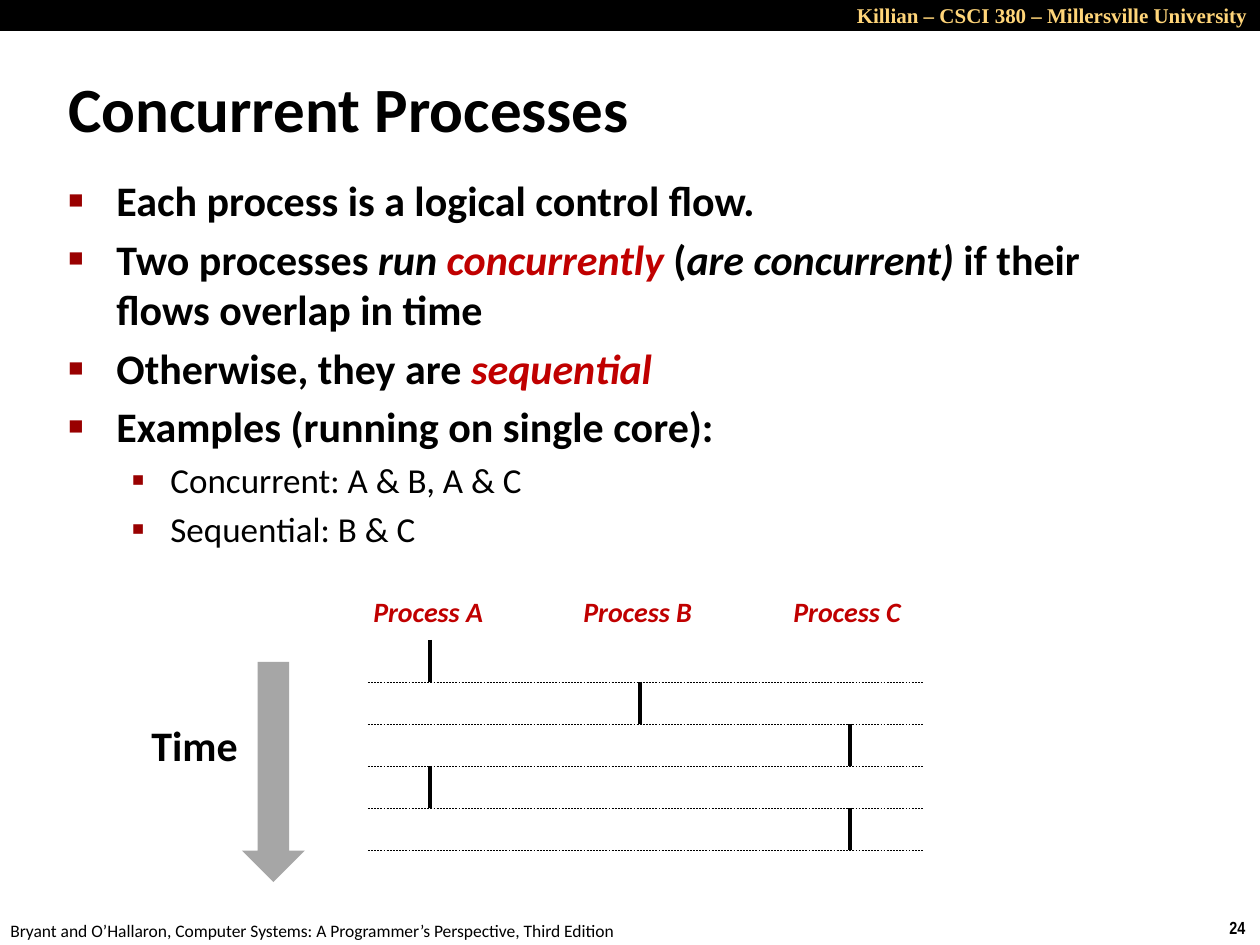
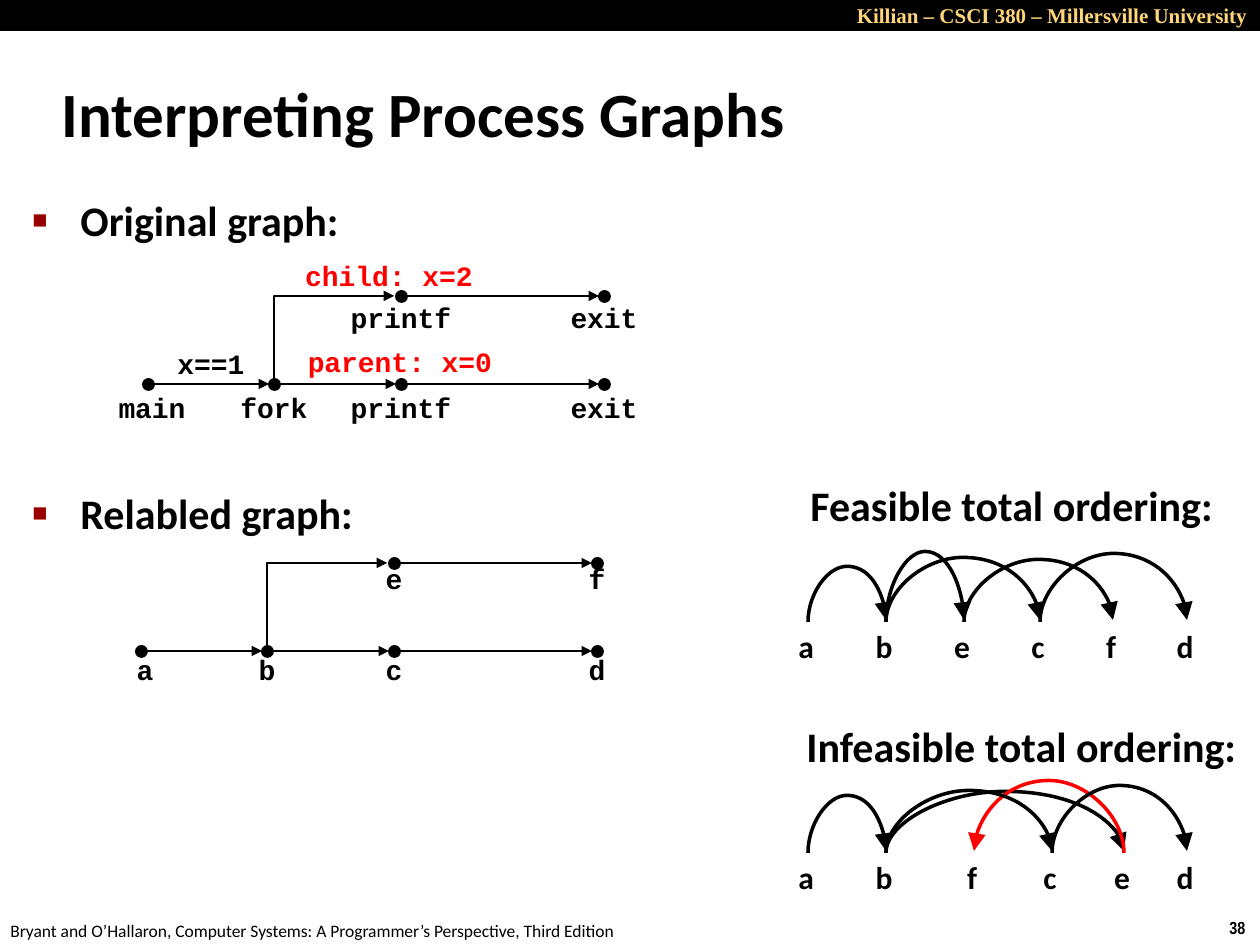
from dataclasses import dataclass
from typing import NamedTuple

from lxml.etree import SubElement
from pptx import Presentation
from pptx.dml.color import RGBColor
from pptx.enum.dml import MSO_LINE
from pptx.enum.shapes import MSO_CONNECTOR, MSO_SHAPE
from pptx.enum.text import MSO_ANCHOR, MSO_AUTO_SIZE, PP_ALIGN
from pptx.oxml.ns import qn
from pptx.util import Emu, Pt

BLACK = RGBColor(0x00, 0x00, 0x00)
GOLD = RGBColor(0xFF, 0xD5, 0x79)
BULLET_RED = RGBColor(0x99, 0x00, 0x00)
TERM_RED = RGBColor(0xC0, 0x00, 0x00)
BRIGHT_RED = RGBColor(0xFF, 0x00, 0x00)
ARROW_GRAY = RGBColor(0xA6, 0xA6, 0xA6)

BODY_FONT, CODE_FONT, BULLET_FONT = "Calibri", "Courier New", "Arial"
TITLE_ONLY = 5
SLIDE_WIDTH, SLIDE_HEIGHT = 1260, 945
DOT = 13
COURSE = "Killian – CSCI 380 – Millersville University"
BOOK = "Bryant and O’Hallaron, Computer Systems: A Programmer’s Perspective, Third Edition"


def px(length: float) -> Emu:
    return Emu(round(length * 914400 / 126))


class Box(NamedTuple):
    left: int
    top: int
    width: int
    height: int

    def emu(self) -> list[Emu]:
        return [px(length) for length in self]


class Point(NamedTuple):
    x: float
    y: float


class Run(NamedTuple):
    text: str
    italic: bool = False
    color: RGBColor = BLACK


class BulletLevel(NamedTuple):
    char: str
    percent: int
    margin: int
    hanging: int
    size: int
    bold: bool
    space: float


@dataclass(frozen=True)
class Bullet:
    runs: list[Run]
    level: int = 0
    space: float | None = None


@dataclass(frozen=True)
class ProcessGraph:
    """Fork diagram: parent row from start, child row above it."""
    start: Point
    parent: list[str]
    child: list[str]
    parent_drop: int
    child_drop: int


class Arc(NamedTuple):
    ends: str
    rise: int
    color: RGBColor = BLACK


@dataclass(frozen=True)
class Ordering:
    heading: str
    heading_box: Box
    baseline: int
    stations: dict[str, int]
    arcs: list[Arc]


LEVELS = [BulletLevel("■", 60, 48, 48, 24, True, 4.8),
          BulletLevel("▪", 110, 102, 39, 20, False, 4)]


def write(paragraph, text: str, *, size: int, font: str = BODY_FONT,
          color: RGBColor = BLACK, bold: bool = True, italic: bool = False) -> None:
    run = paragraph.add_run()
    run.text = text
    run.font.name, run.font.size = font, Pt(size)
    run.font.bold, run.font.italic = bold, italic
    run.font.color.rgb = color


def add_text(slide, box: Box, text: str, *, align=PP_ALIGN.LEFT, **text_format) -> None:
    frame = slide.shapes.add_textbox(*box.emu()).text_frame
    frame.word_wrap = False
    frame.paragraphs[0].alignment = align
    write(frame.paragraphs[0], text, **text_format)


def add_label(slide, center: int, top: int, text: str, *, width: int = 130, size: int = 16,
              font: str = CODE_FONT, color: RGBColor = BLACK) -> None:
    add_text(slide, Box(center - width // 2, top, width, 47), text,
             align=PP_ALIGN.CENTER, size=size, font=font, color=color)


def add_filled(slide, preset, box: Box, color: RGBColor) -> None:
    shape = slide.shapes.add_shape(preset, *box.emu())
    shape.shadow.inherit = False
    shape.fill.solid()
    shape.fill.fore_color.rgb = color
    shape.line.fill.background()


def add_line(slide, start: Point, end: Point, *, width: float, color: RGBColor = BLACK,
             dash=None, head: str | None = None, kind=MSO_CONNECTOR.STRAIGHT):
    """Connector; head is the arrowhead size, med or lg."""
    line = slide.shapes.add_connector(kind, *map(px, (*start, *end)))
    line.line.color.rgb = color
    line.line.width = Pt(width)
    if dash:
        line.line.dash_style = dash
    properties = line._element.spPr
    if head:
        SubElement(properties.find(qn("a:ln")), qn("a:tailEnd"),
                   type="triangle", w=head, len=head)
    SubElement(properties, qn("a:effectLst"))
    return line


def add_turned(slide, start: Point, end: Point, *, preset: str, rise: int | None = None,
               **line_format) -> None:
    """Connector that leaves start upwards; end is the higher point."""
    depth, span = start.y - end.y, abs(end.x - start.x)
    left = (start.x + end.x - depth) / 2
    top = (start.y + end.y - span) / 2
    line = add_line(slide, Point(left, top), Point(left + depth, top + span), **line_format)
    properties = line._element.spPr
    frame = properties.find(qn("a:xfrm"))
    rightward = end.x > start.x
    frame.set("rot", "5400000" if rightward else "16200000")
    frame.set("flipV", "1")
    if rightward:
        frame.set("flipH", "1")
    geometry = properties.find(qn("a:prstGeom"))
    geometry.set("prst", preset)
    if rise is not None:
        SubElement(geometry.find(qn("a:avLst")), qn("a:gd"), name="adj1",
                   fmla=f"val {round(rise / depth * 100000)}")


def add_bullets(slide, box: Box, bullets: list[Bullet]) -> None:
    frame = slide.shapes.add_textbox(*box.emu()).text_frame
    frame.word_wrap = True
    for index, bullet in enumerate(bullets):
        paragraph = frame.add_paragraph() if index else frame.paragraphs[0]
        level = LEVELS[bullet.level]
        paragraph.level = bullet.level
        paragraph.space_before = Pt(bullet.space or level.space)
        properties = paragraph._p.get_or_add_pPr()
        properties.set("marL", str(px(level.margin)))
        properties.set("indent", str(-px(level.hanging)))
        color = SubElement(properties, qn("a:buClr"))
        SubElement(color, qn("a:srgbClr"), val=str(BULLET_RED))
        SubElement(properties, qn("a:buSzPct"), val=str(level.percent * 1000))
        SubElement(properties, qn("a:buFont"), typeface=BULLET_FONT)
        SubElement(properties, qn("a:buChar"), char=level.char)
        for run in bullet.runs:
            write(paragraph, run.text, size=level.size, bold=level.bold,
                  italic=run.italic, color=run.color)


def add_slide(deck, title: str, title_box: Box, number: int):
    """Title-only slide with the course band and the footer."""
    slide = deck.slides.add_slide(deck.slide_layouts[TITLE_ONLY])
    add_filled(slide, MSO_SHAPE.RECTANGLE, Box(0, 0, SLIDE_WIDTH, 31), BLACK)
    add_text(slide, Box(735, -4, 525, 38), COURSE, align=PP_ALIGN.RIGHT,
             size=12, font="Times New Roman", color=GOLD)
    add_text(slide, Box(1217, 911, 43, 34), str(number), size=10, font="Arial Narrow")
    add_text(slide, Box(-2, 914, 640, 34), BOOK, size=10, bold=False)
    heading = slide.shapes.title
    heading.left, heading.top, heading.width, heading.height = title_box.emu()
    frame = heading.text_frame
    frame.auto_size = MSO_AUTO_SIZE.NONE
    frame.vertical_anchor = MSO_ANCHOR.MIDDLE
    frame.paragraphs[0].alignment = PP_ALIGN.LEFT
    write(frame.paragraphs[0], title, size=36)
    return slide


def add_timeline(slide) -> None:
    first_row, row_height = 640, 42
    columns = {name: 430 + 210 * index for index, name in enumerate("ABC")}
    for name, x in columns.items():
        add_text(slide, Box(x - 69, 588, 137, 47), f"Process {name}",
                 size=16, italic=True, color=TERM_RED)
    for row, running in enumerate("ABCAC"):
        top = first_row + row * row_height
        bottom = top + row_height
        x = columns[running]
        add_line(slide, Point(x, top), Point(x, bottom), width=2)
        add_line(slide, Point(368, bottom), Point(924, bottom),
                 width=0.25, dash=MSO_LINE.DASH)
    add_text(slide, Box(139, 713, 112, 63), "Time", size=24)
    add_filled(slide, MSO_SHAPE.DOWN_ARROW, Box(242, 662, 63, 220), ARROW_GRAY)


def add_process_graph(slide, graph: ProcessGraph) -> None:
    columns = [graph.start.x + offset for offset in (0, 126, 253, 456)]
    parent_y, child_y = graph.start.y, graph.start.y - 88
    rows = [(parent_y, columns, graph.parent, graph.parent_drop),
            (child_y, columns[2:], graph.child, graph.child_drop)]
    for y, xs, names, drop in rows:
        for x, name in zip(xs, names):
            add_filled(slide, MSO_SHAPE.OVAL, Box(x - DOT // 2, y - DOT // 2, DOT, DOT), BLACK)
            nudge = 4 if x == columns[0] else 0
            add_label(slide, x + nudge, y + drop, name)
        for x, following in zip(xs, xs[1:]):
            add_line(slide, Point(x + 6, y), Point(following - 5, y), width=1, head="med")
    add_turned(slide, Point(columns[1], parent_y), Point(columns[2] - 7, child_y),
               preset="bentConnector2", kind=MSO_CONNECTOR.ELBOW, width=1, head="med")


def add_ordering(slide, ordering: Ordering) -> None:
    add_text(slide, ordering.heading_box, ordering.heading, size=24)
    for name, x in ordering.stations.items():
        add_label(slide, x - 2, ordering.baseline - 1, name, size=18, font=BODY_FONT)
    for arc in ordering.arcs:
        origin, target = (ordering.stations[name] for name in arc.ends)
        add_turned(slide, Point(origin, ordering.baseline), Point(target, ordering.baseline - 2),
                   preset="curvedConnector3", kind=MSO_CONNECTOR.CURVE, rise=arc.rise,
                   width=2, head="lg", color=arc.color)


def build_concurrent_processes(deck) -> None:
    slide = add_slide(deck, "Concurrent Processes", Box(56, 68, 837, 79), 24)
    add_bullets(slide, Box(56, 168, 1089, 357), [
        Bullet([Run("Each process is a logical control flow.")]),
        Bullet([Run("Two processes "), Run("run ", True), Run("concurrently", True, TERM_RED),
                Run(" ("), Run("are concurrent)", True),
                Run(" if their flows overlap in time")]),
        Bullet([Run("Otherwise, they are "), Run("sequential", True, TERM_RED)]),
        Bullet([Run("Examples (running on single core):")]),
        Bullet([Run("Concurrent: A & B, A & C")], level=1),
        Bullet([Run("Sequential: B & C")], level=1),
    ])
    add_timeline(slide)


def build_process_graphs(deck) -> None:
    slide = add_slide(deck, "Interpreting Process Graphs", Box(49, 60, 1046, 105), 38)
    add_bullets(slide, Box(20, 188, 648, 537), [
        Bullet([Run("Original graph:")]),
        Bullet([Run("Relabled graph:")], space=138.7),
    ])
    add_process_graph(slide, ProcessGraph(
        Point(148, 384), ["main", "fork", "printf", "exit"], ["printf", "exit"], 0, -2))
    add_label(slide, 211, 340, "x==1")
    add_label(slide, 389, 252, "child: x=2", width=254, color=BRIGHT_RED)
    add_label(slide, 400, 338, "parent: x=0", width=254, color=BRIGHT_RED)
    add_process_graph(slide, ProcessGraph(
        Point(141, 651), ["a", "b", "c", "d"], ["e", "f"], -5, -8))
    add_ordering(slide, Ordering(
        "Feasible total ordering:", Box(798, 473, 433, 63), 622,
        {"a": 808, "b": 886, "e": 964, "c": 1040, "f": 1113, "d": 1187},
        [Arc("ab", 56), Arc("be", 71), Arc("ef", 63), Arc("bc", 65), Arc("cd", 69)]))
    add_ordering(slide, Ordering(
        "Infeasible total ordering:", Box(794, 714, 462, 63), 853,
        {"a": 808, "b": 886, "f": 974, "c": 1052, "e": 1124, "d": 1187},
        [Arc("ab", 58), Arc("be", 62), Arc("ef", 73, BRIGHT_RED), Arc("bc", 63),
         Arc("cd", 68)]))


def main() -> None:
    deck = Presentation()
    deck.slide_width, deck.slide_height = px(SLIDE_WIDTH), px(SLIDE_HEIGHT)
    build_concurrent_processes(deck)
    build_process_graphs(deck)
    deck.save("out.pptx")


if __name__ == "__main__":
    main()
